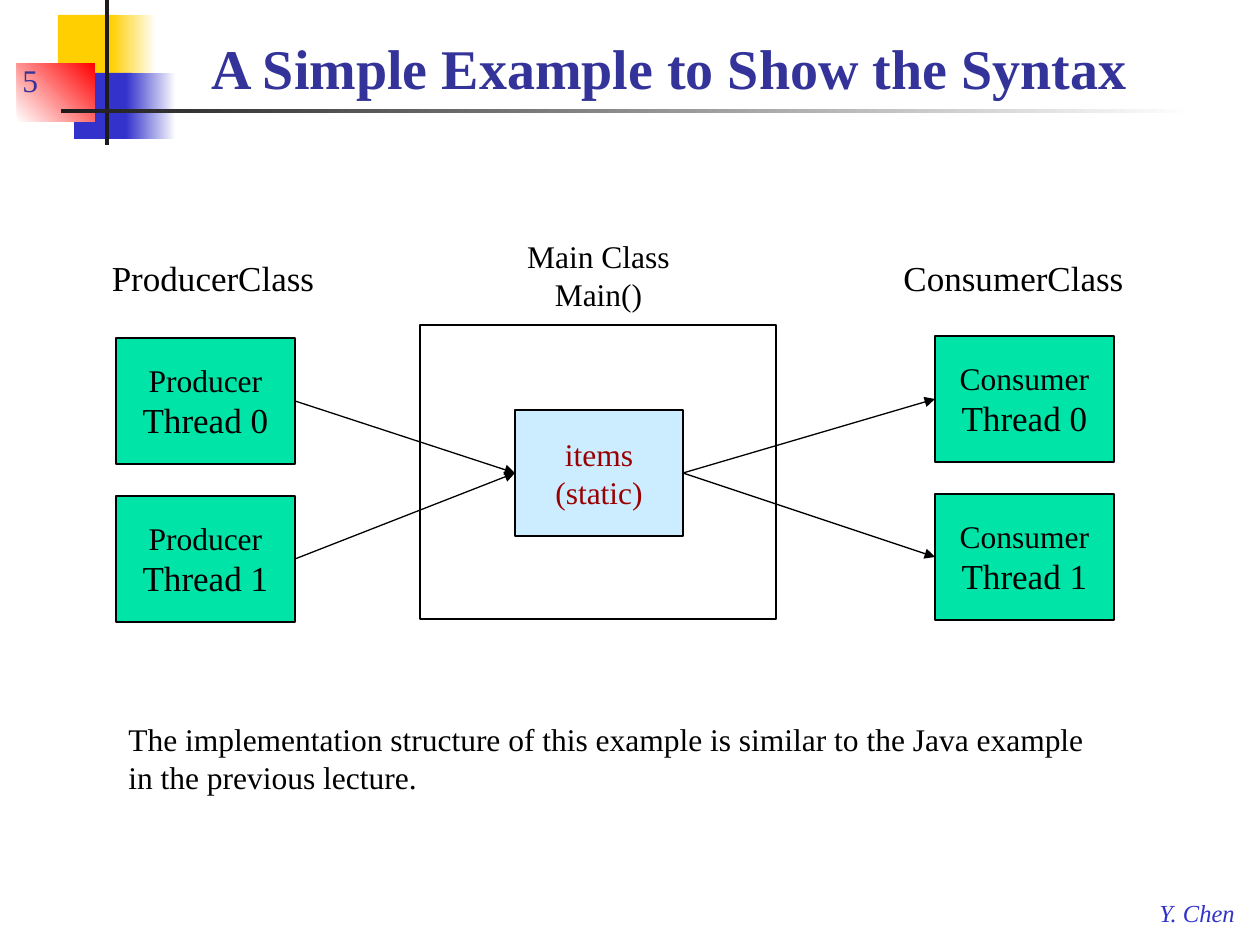
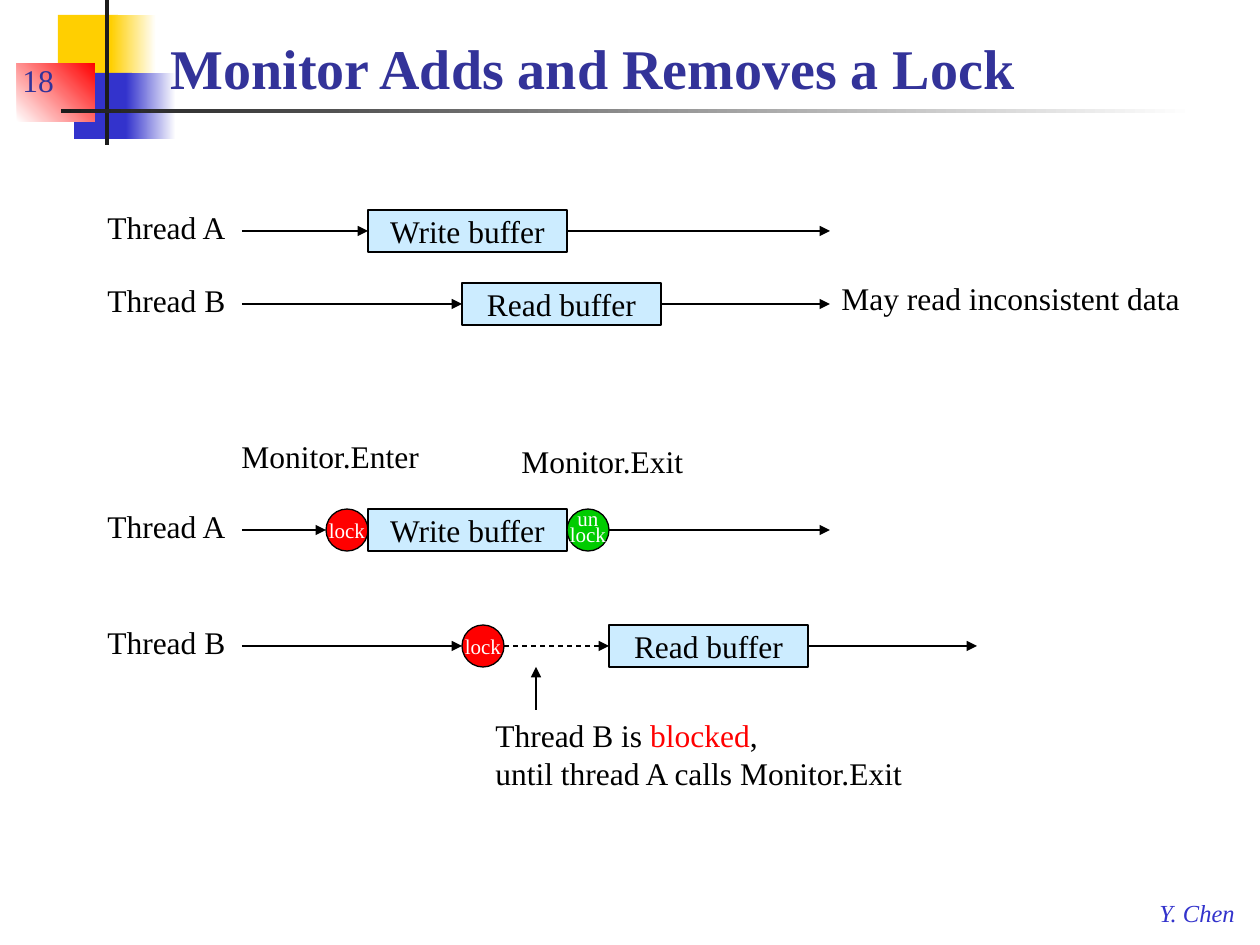
from lxml import etree
from pptx import Presentation
from pptx import util as u
from pptx.dml.color import RGBColor
from pptx.enum import dml, shapes, text
from pptx.oxml.ns import qn

FONT = "Times New Roman"
HUES = {
    "ink": "000000", "white": "FFFFFF", "dark": "1C1C1C", "gold": "FFCF01",
    "blue": "3333CC", "navy": "333399", "red": "FF0000", "green": "00CC00",
    "mint": "00E4A8", "sky": "CCECFF", "wine": "990000",
}

# Band blocks: left, top, width, height, colour or (from, to), angle
BAND = [
    (58, 15, 60, 66, "gold", 0),
    (111, 15, 45, 66, ("gold", "white"), 0),
    (74, 73, 58, 66, "blue", 0),
    (126, 73, 50, 66, ("blue", "white"), 0),
    (17, 63, 78, 59, ("white", "red"), 45),
    (105, 0, 4, 145, "dark", 0),
    (61, 109, 1134, 4, ("dark", "white"), 0),
]
AUTHOR = "Y. Chen"

SYNTAX = "A Simple Example to Show the Syntax"
# Role, left of boxes, top of first box, heading box left and width
ROLES = [("Producer", 116, 338, 98, 230), ("Consumer", 935, 336, 890, 247)]
BOX = (179, 126)
STEP = 158
MAIN = (420, 325, 356, 294)
ITEMS = (515, 410, 168, 126)
NOTE = ("The implementation structure of this example is similar to the "
        "Java example in the previous lecture.")

MONITOR = "Monitor Adds and Removes a Lock"
# Kind: words, width, colour, outline
PARTS = {
    "write": ("Write buffer", 199, "sky", "RECTANGLE"),
    "read": ("Read buffer", 199, "sky", "RECTANGLE"),
    "lock": ("lock", 42, "red", "OVAL"),
    "unlock": ("un\vlock", 42, "green", "OVAL"),
}
# Thread, middle of lane, parts with their left edges, end of lane
LANES = [
    ("Thread A", 231, [("write", 368)], 830),
    ("Thread B", 304, [("read", 462)], 830),
    ("Thread A", 530, [("lock", 326), ("write", 368), ("unlock", 567)], 830),
    ("Thread B", 646, [("lock", 462), ("read", 609)], 977),
]
START = 242
TALL = 42
LABELS = [
    ((229, 431, 204, 50), ["Monitor.Enter"]),
    ((509, 436, 189, 50), ["Monitor.Exit"]),
    ((829, 273, 364, 50), ["May read inconsistent data"]),
    ((483, 710, 437, 88), [
        [("Thread B is ", "ink"), ("blocked", "red"), (",", "ink")],
        "until thread A calls Monitor.Exit"]),
]


def px(n):
    return u.Emu(round(n * 914400 / 126))


def hue(name):
    return RGBColor.from_string(HUES[name])


def write(shape, lines, size=18, color="ink", align="LEFT", anchor="TOP",
          wrap=False, bold=False, italic=False):
    """Fill a shape with lines; a line is a string or (words, colour) runs."""
    frame = shape.text_frame
    frame.word_wrap = wrap
    frame.auto_size = text.MSO_AUTO_SIZE.NONE
    frame.vertical_anchor = text.MSO_ANCHOR[anchor]
    for i, line in enumerate(lines):
        para = frame.add_paragraph() if i else frame.paragraphs[0]
        para.alignment = text.PP_ALIGN[align]
        font = para.font
        font.name, font.size = FONT, u.Pt(size)
        font.bold, font.italic = bold, italic
        font.color.rgb = hue(color)
        if isinstance(line, str):
            para.text = line
            continue
        for words, tint in line:
            run = para.add_run()
            run.text = words
            run.font.color.rgb = hue(tint)
    return frame.paragraphs


def label(slide, area, lines, **style):
    return write(slide.shapes.add_textbox(*map(px, area)), lines, **style)


def block(slide, area, fill=None, form="RECTANGLE", line=True, angle=0):
    shape = slide.shapes.add_shape(shapes.MSO_SHAPE[form], *map(px, area))
    shape.shadow.inherit = False
    if fill is None:
        shape.fill.background()
    elif isinstance(fill, tuple):
        shape.fill.gradient()
        shape.fill.gradient_angle = angle
        for stop, name in zip(shape.fill.gradient_stops, fill):
            stop.color.rgb = hue(name)
    else:
        shape.fill.solid()
        shape.fill.fore_color.rgb = hue(fill)
    if line:
        shape.line.color.rgb = hue("ink")
        shape.line.width = u.Pt(0.75)
    else:
        shape.line.fill.background()
    return shape


def arrow(slide, start, end, dash=False):
    link = slide.shapes.add_connector(
        shapes.MSO_CONNECTOR.STRAIGHT, *map(px, start + end))
    link.line.color.rgb = hue("ink")
    link.line.width = u.Pt(0.75)
    if dash:
        link.line.dash_style = dml.MSO_LINE.DASH
    props = link.element.spPr
    etree.SubElement(props.find(qn("a:ln")), qn("a:tailEnd"), type="triangle")
    etree.SubElement(props, qn("a:effectLst"))


def page(deck, number, title, left, width):
    """Add a slide with the shared band, author, number and title."""
    slide = deck.slides.add_slide(deck.slide_layouts[5])
    for *area, fill, angle in BAND:
        block(slide, area, fill, line=False, angle=angle)
    label(slide, (1147, 892, 103, 42), [AUTHOR], size=14, color="blue",
          italic=True)
    label(slide, (10, 42, 262, 63), [str(number)], color="navy",
          anchor="BOTTOM", wrap=True)
    head = slide.shapes.title
    head.left, head.top, head.width, head.height = map(
        px, (left, 21, width, 86))
    write(head, [title], size=32, color="navy", anchor="BOTTOM", wrap=True,
          bold=True)
    slide.shapes.element.append(head.element)
    return slide


def syntax(deck):
    slide = page(deck, 5, SYNTAX, 199, 1050)
    block(slide, MAIN)
    label(slide, (514, 231, 169, 89), ["Main Class", "Main()"],
          align="CENTER")
    x, y, w, h = ITEMS
    mid = y + h // 2
    wide, high = BOX
    for role, left, top, edge, span in ROLES:
        label(slide, (edge, 250, span, 55), [role + "Class"], size=20,
              align="CENTER")
        for i in range(2):
            level = top + i * STEP
            box = block(slide, (left, level, wide, high), "mint")
            paras = write(box, [role, f"Thread {i}"], align="CENTER",
                          anchor="MIDDLE")
            paras[1].font.size = u.Pt(20)
            port = level + high // 2
            if role == "Producer":
                arrow(slide, (left + wide, port), (x, mid))
            else:
                arrow(slide, (x + w, mid), (left, port))
    write(block(slide, ITEMS, "sky"), ["items", "(static)"], color="wine",
          align="CENTER", anchor="MIDDLE")
    label(slide, (116, 714, 998, 89), [NOTE], wrap=True)


def lane(slide, name, mid, parts, end):
    """Draw one thread: its parts, and arrows across the gaps between them."""
    label(slide, (95, mid - 29, 145, 50), [name])
    x, last = START, None
    for kind, left in parts:
        words, width, fill, form = PARTS[kind]
        if left > x:
            arrow(slide, (x, mid), (left, mid), dash=last == "lock")
        part = block(slide, (left, mid - TALL // 2, width, TALL), fill, form)
        disc = form == "OVAL"
        paras = write(part, [words], size=12 if disc else 18,
                      color="white" if disc else "ink", align="CENTER",
                      anchor="MIDDLE")
        if kind == "unlock":
            paras[0].line_spacing = 0.6
        x, last = left + width, kind
    arrow(slide, (x, mid), (end, mid))


def monitor(deck):
    slide = page(deck, 18, MONITOR, 158, 1092)
    for row in LANES:
        lane(slide, *row)
    for area, lines in LABELS:
        label(slide, area, lines)
    arrow(slide, (536, 710), (536, 667))


def main():
    deck = Presentation()
    deck.slide_width, deck.slide_height = px(1260), px(945)
    syntax(deck)
    monitor(deck)
    deck.save("out.pptx")


if __name__ == "__main__":
    main()
